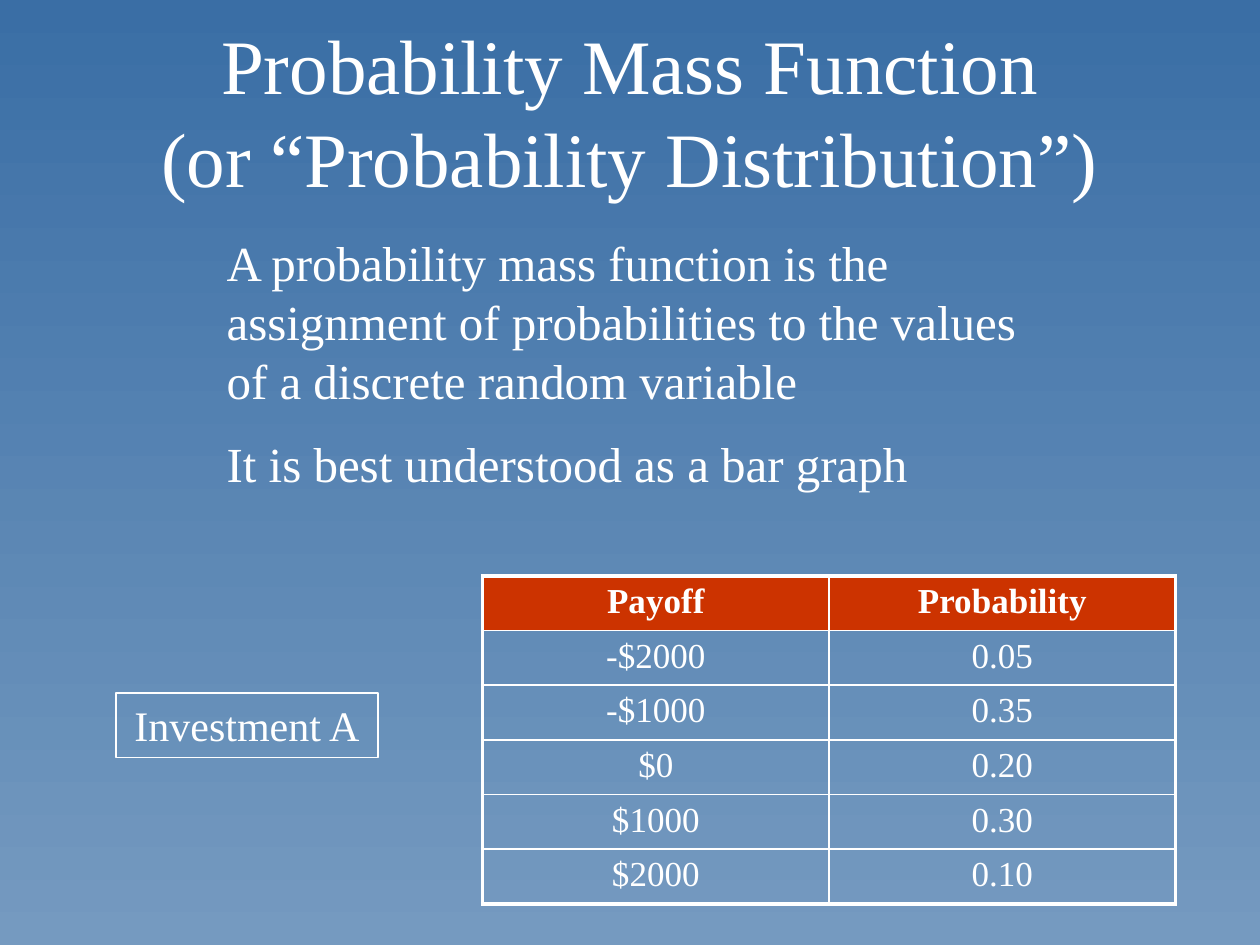
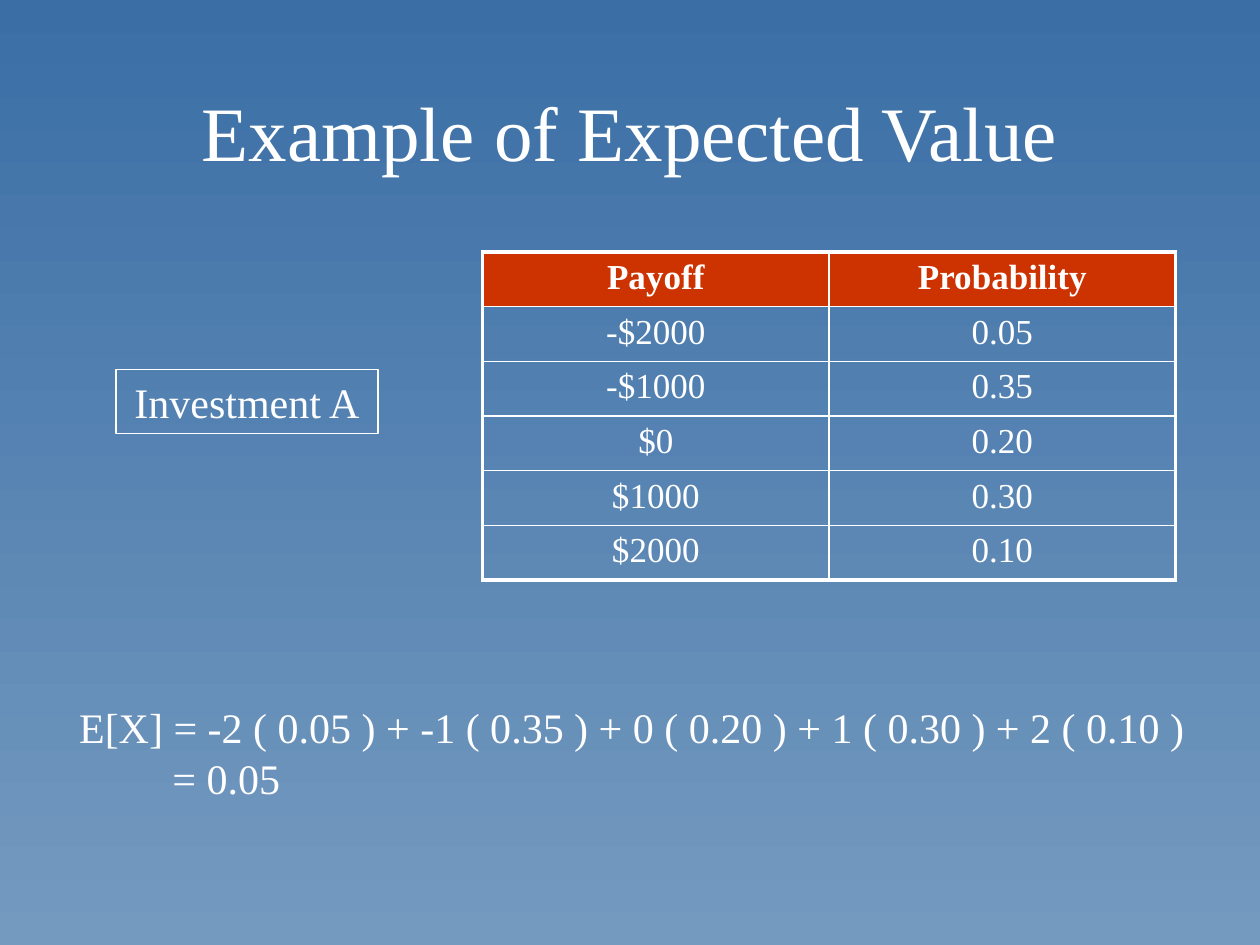
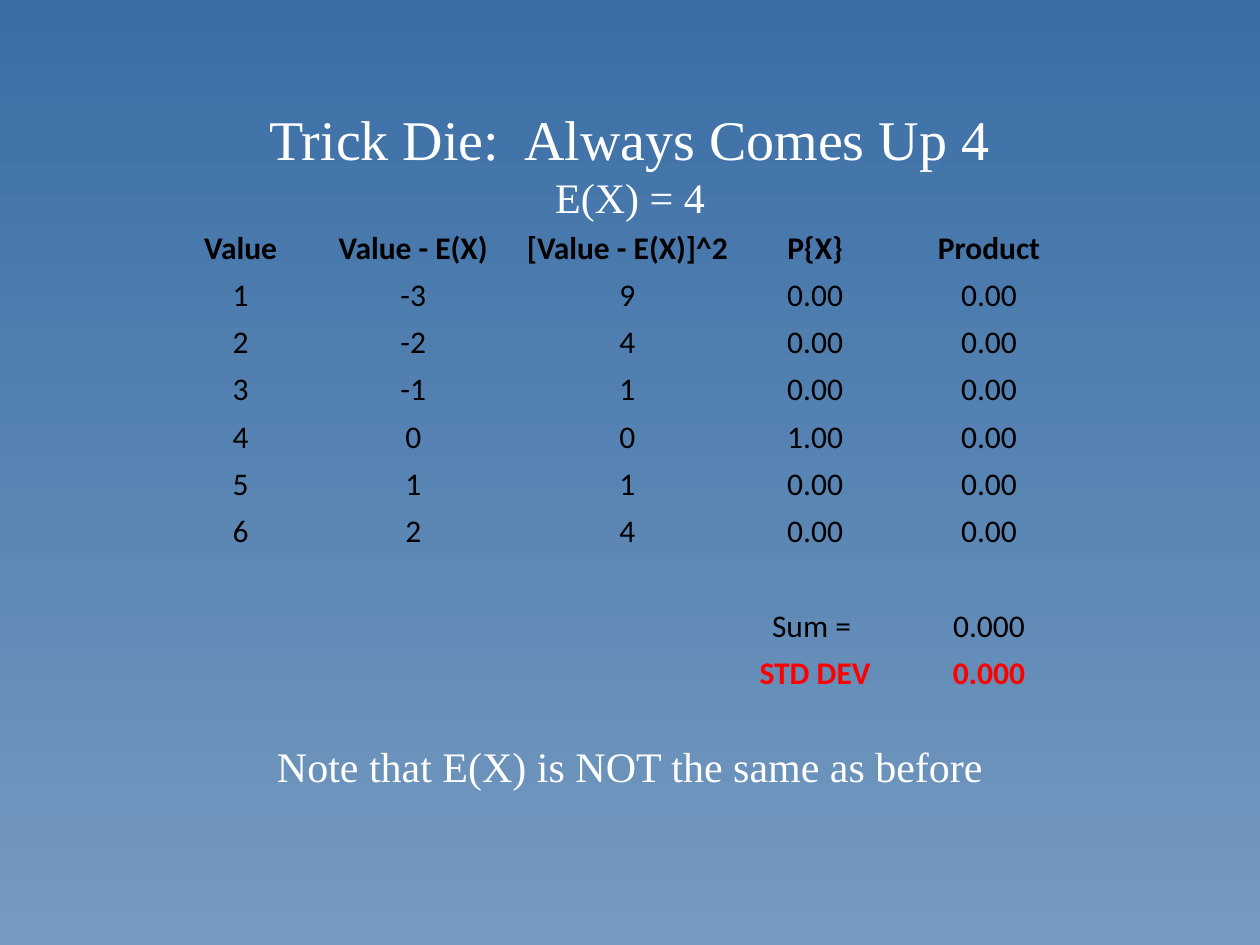
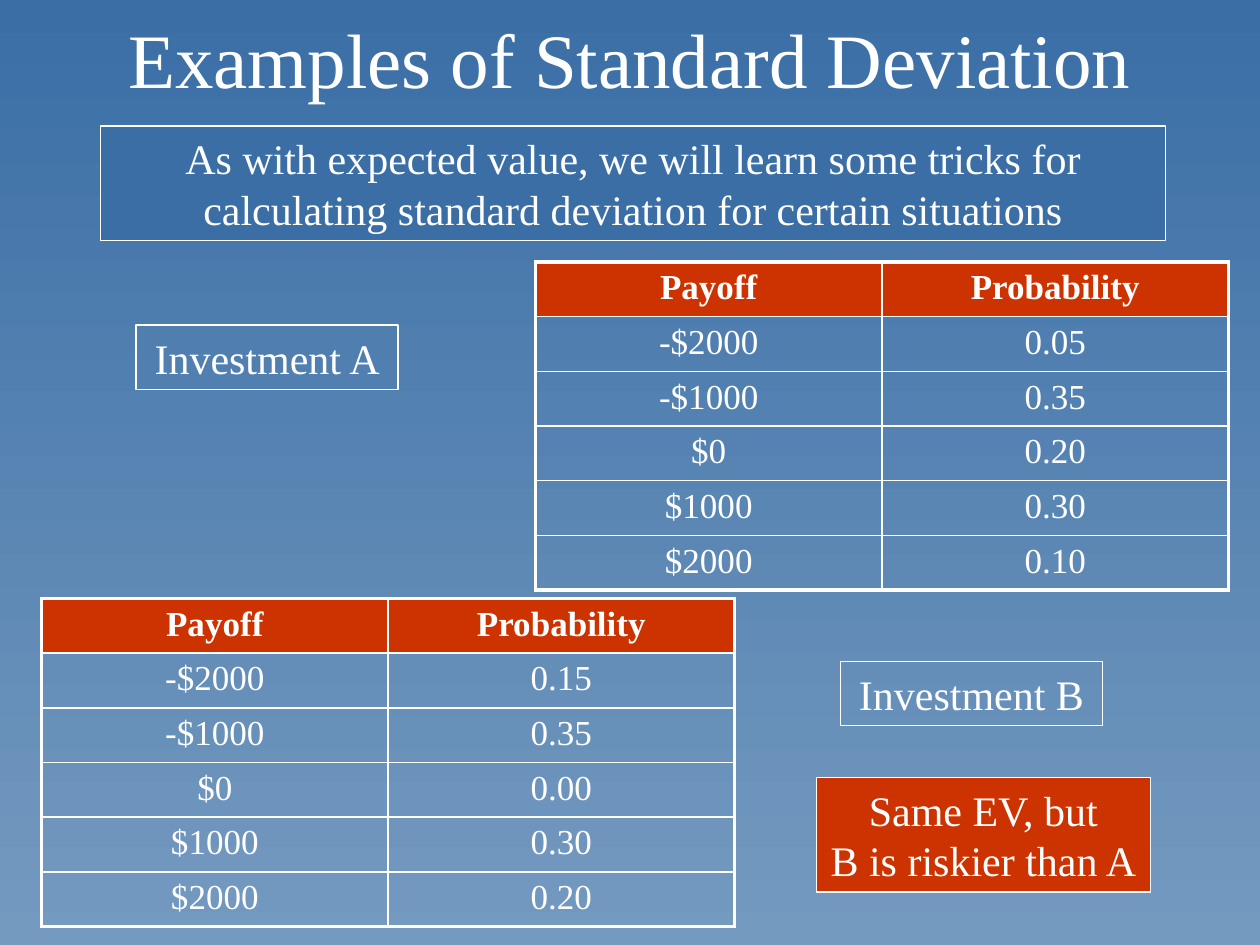
from copy import deepcopy

from lxml.etree import SubElement
from pptx import Presentation
from pptx.dml.color import RGBColor
from pptx.enum.shapes import MSO_SHAPE
from pptx.enum.text import MSO_ANCHOR, MSO_AUTO_SIZE, PP_ALIGN
from pptx.oxml.ns import qn
from pptx.util import Inches, Pt

WHITE = "FFFFFF"
BLACK = "000000"
RED = "FF0000"
BRICK = "CC3300"
DEEP_BLUE = "3A6EA5"
PALE_BLUE = "759AC0"
SERIF = "Times New Roman"
SANS = "Calibri"
PLAIN_TABLE_STYLE = "{2D5ABB26-0587-4C30-8999-92F81FD0307C}"
INNER_BORDER, OUTER_BORDER = 1, 2.25

PAYOFFS = ["-$2000", "-$1000", "$0", "$1000", "$2000"]
INVESTMENT_A = ["0.05", "0.35", "0.20", "0.30", "0.10"]
INVESTMENT_B = ["0.15", "0.35", "0.00", "0.30", "0.20"]


def rgb(value):
    """Turn a hex string into a colour."""
    return RGBColor.from_string(value)


def set_background(presentation):
    """Give the slide master the vertical blue gradient."""
    fill = presentation.slide_master.background.fill
    fill.gradient()
    fill.gradient_angle = 270
    for stop, color in zip(fill.gradient_stops, (DEEP_BLUE, PALE_BLUE)):
        stop.color.rgb = rgb(color)


def add_text(paragraph, text, size, color=WHITE, font=SERIF, bold=False):
    """Add one formatted run and return it."""
    run = paragraph.add_run()
    run.text = text
    run.font.size = Pt(size)
    run.font.name = font
    run.font.bold = bold
    run.font.color.rgb = rgb(color)
    return run


def place(shape, left, top, width, height):
    """Move and size a shape in inches."""
    shape.left, shape.top = Inches(left), Inches(top)
    shape.width, shape.height = Inches(width), Inches(height)


def add_titled_slide(presentation, top, height, lines):
    """Add a slide whose title is a list of (text, size) lines."""
    slide = presentation.slides.add_slide(presentation.slide_layouts[5])
    title = slide.shapes.title
    place(title, 0.75, top, 8.5, height)
    frame = title.text_frame
    frame.auto_size = MSO_AUTO_SIZE.NONE
    frame.word_wrap = True
    frame.vertical_anchor = MSO_ANCHOR.MIDDLE
    paragraph = frame.paragraphs[0]
    paragraph.alignment = PP_ALIGN.CENTER
    previous_run = None
    for text, size in lines:
        if previous_run is not None:
            line_break = paragraph._p.add_br()
            line_break.append(deepcopy(previous_run._r.rPr))
        previous_run = add_text(paragraph, text, size)
    return slide


def fill_frame(frame, lines, size, alignment, wrap=True, gap=0):
    """Write one paragraph per line, with a gap between paragraphs."""
    frame.word_wrap = wrap
    frame.auto_size = MSO_AUTO_SIZE.SHAPE_TO_FIT_TEXT
    for index, line in enumerate(lines):
        paragraph = frame.add_paragraph() if index else frame.paragraphs[0]
        paragraph.alignment = alignment
        if index:
            paragraph.space_before = Pt(gap)
        add_text(paragraph, line, size)


def add_note(slide, bounds, lines, size=24, alignment=PP_ALIGN.LEFT, wrap=True, gap=0):
    """Add a plain text box and return it."""
    box = slide.shapes.add_textbox(*map(Inches, bounds))
    fill_frame(box.text_frame, lines, size, alignment, wrap, gap)
    return box


def add_outlined_box(slide, bounds, lines, fill=None, wrap=True):
    """Add a rectangle with a thin white outline and centred text."""
    box = slide.shapes.add_shape(MSO_SHAPE.RECTANGLE, *map(Inches, bounds))
    box.shadow.inherit = False
    if fill:
        box.fill.solid()
        box.fill.fore_color.rgb = rgb(fill)
    else:
        box.fill.background()
    box.line.color.rgb = rgb(WHITE)
    box.line.width = Pt(0.75)
    fill_frame(box.text_frame, lines, 24, PP_ALIGN.CENTER, wrap)


def add_investment_label(slide, left, top, letter):
    """Add the box that names an investment."""
    add_outlined_box(slide, (left, top, 2.08, 0.51), [f"Investment {letter}"])


def add_tab_stop(paragraph, position):
    """Add a left tab stop at a position in inches."""
    tabs = SubElement(paragraph._p.get_or_add_pPr(), qn("a:tabLst"))
    SubElement(tabs, qn("a:tab"), pos=str(Inches(position)), algn="l")


def add_border(cell, side, width):
    """Draw a white border on one side (L, R, T or B) of a cell."""
    properties = cell._tc.get_or_add_tcPr()
    line = SubElement(properties, qn(f"a:ln{side}"), w=str(Pt(width)))
    color = SubElement(SubElement(line, qn("a:solidFill")), qn("a:srgbClr"))
    color.set("val", WHITE)


def add_plain_table(slide, left, top, column_widths, row_height, row_count):
    """Add a table without a built-in style and return it."""
    frame = slide.shapes.add_table(
        row_count, len(column_widths), Inches(left), Inches(top),
        Inches(sum(column_widths)), Inches(row_height * row_count))
    table = frame.table
    table.horz_banding = False
    table._tbl.tblPr.find(qn("a:tableStyleId")).text = PLAIN_TABLE_STYLE
    for column, width in zip(table.columns, column_widths):
        column.width = Inches(width)
    for row in table.rows:
        row.height = Inches(row_height)
    return table


def write_cell(cell, text, **style):
    """Write centred text into a cell."""
    paragraph = cell.text_frame.paragraphs[0]
    paragraph.alignment = PP_ALIGN.CENTER
    if text:
        add_text(paragraph, text, **style)


def add_payoff_table(slide, left, top, probabilities):
    """Add a bordered table of payoffs and their probabilities."""
    rows = [("Payoff", "Probability"), *zip(PAYOFFS, probabilities)]
    table = add_plain_table(slide, left, top, (2.75, 2.75), 2.6 / len(rows), len(rows))
    last_row = len(rows) - 1
    for row_index, row in enumerate(rows):
        is_header = row_index == 0
        for column_index, text in enumerate(row):
            cell = table.cell(row_index, column_index)
            write_cell(cell, text, size=20, bold=is_header)
            outer_sides = {"L": column_index == 0, "R": column_index == 1,
                           "T": is_header, "B": row_index == last_row}
            for side, is_outer in outer_sides.items():
                add_border(cell, side, OUTER_BORDER if is_outer else INNER_BORDER)
            if is_header:
                cell.fill.solid()
                cell.fill.fore_color.rgb = rgb(BRICK)
            else:
                cell.fill.background()


def add_deviation_table(slide, left, top):
    """Add the borderless worksheet for the standard deviation."""
    rows = [
        ("Value", "Value - E(X)", "[Value - E(X)]^2", "P{X}", "Product"),
        ("1", "-3", "9", "0.00", "0.00"),
        ("2", "-2", "4", "0.00", "0.00"),
        ("3", "-1", "1", "0.00", "0.00"),
        ("4", "0", "0", "1.00", "0.00"),
        ("5", "1", "1", "0.00", "0.00"),
        ("6", "2", "4", "0.00", "0.00"),
        ("", "", "", "", ""),
        ("", "", "", "Sum = ", "0.000"),
        ("", "", "", "STD DEV", "0.000"),
    ]
    widths = (1.16, 1.58, 1.82, 1.16, 1.6)
    table = add_plain_table(slide, left, top, widths, 3.75 / len(rows), len(rows))
    last_row = len(rows) - 1
    for row_index, row in enumerate(rows):
        color = RED if row_index == last_row else BLACK
        for column_index, text in enumerate(row):
            cell = table.cell(row_index, column_index)
            cell.margin_left = cell.margin_right = 0
            cell.margin_top = cell.margin_bottom = 0
            cell.vertical_anchor = MSO_ANCHOR.BOTTOM
            cell.fill.background()
            write_cell(cell, text, size=18, color=color, font=SANS,
                       bold=row_index in (0, last_row))


def build_mass_function_slide(presentation):
    """Build the slide that defines a probability mass function."""
    slide = add_titled_slide(presentation, 0.25, 1.25, [
        ("Probability Mass Function", 44), ("(or “Probability Distribution”)", 44)])
    add_note(slide, (1.7, 1.8, 6.71, 2.2), [
        "A probability mass function is the assignment of probabilities "
        "to the values of a discrete random variable",
        "It is best understood as a bar graph"], size=28, gap=14)
    add_investment_label(slide, 0.92, 5.5, "A")
    add_payoff_table(slide, 3.83, 4.57, INVESTMENT_A)


def build_expected_value_slide(presentation):
    """Build the slide that works out an expected value."""
    slide = add_titled_slide(presentation, 0.58, 0.92, [("Example of Expected Value", 44)])
    add_investment_label(slide, 0.92, 2.93, "A")
    add_payoff_table(slide, 3.83, 2, INVESTMENT_A)
    formula = add_note(slide, (0.53, 5.52, 8.97, 0.9), [
        "E[X] = -2 ( 0.05 ) + -1 ( 0.35 ) + 0 ( 0.20 ) + 1 ( 0.30 ) + 2 ( 0.10 )",
        "\t= 0.05"], wrap=False)
    for paragraph in formula.text_frame.paragraphs:
        add_tab_stop(paragraph, 0.74)


def build_trick_die_slide(presentation):
    """Build the slide about the die that always shows four."""
    slide = add_titled_slide(presentation, 0.67, 1.25, [
        ("Trick Die:  Always Comes Up 4", 32), ("E(X) = 4", 24)])
    add_deviation_table(slide, 1.33, 1.75)
    add_note(slide, (1.5, 5.83, 7, 0.5), ["Note that E(X) is NOT the same as before"],
             alignment=PP_ALIGN.CENTER)


def build_comparison_slide(presentation):
    """Build the slide that compares two investments."""
    slide = add_titled_slide(presentation, 0.08, 0.75, [("Examples of Standard Deviation", 44)])
    add_outlined_box(slide, (0.8, 1, 8.45, 0.91), [
        "As with expected value, we will learn some tricks for "
        "calculating standard deviation for certain situations"], fill=DEEP_BLUE)
    add_investment_label(slide, 1.08, 2.58, "A")
    add_payoff_table(slide, 4.25, 2.08, INVESTMENT_A)
    add_investment_label(slide, 6.67, 5.25, "B")
    add_payoff_table(slide, 0.33, 4.75, INVESTMENT_B)
    add_outlined_box(slide, (6.48, 6.17, 2.65, 0.91),
                     ["Same EV, but", "B is riskier than A"], fill=BRICK, wrap=False)


def main():
    """Build the presentation and save it."""
    presentation = Presentation()
    presentation.slide_width = Inches(10)
    presentation.slide_height = Inches(7.5)
    set_background(presentation)
    build_mass_function_slide(presentation)
    build_expected_value_slide(presentation)
    build_trick_die_slide(presentation)
    build_comparison_slide(presentation)
    presentation.save("out.pptx")


if __name__ == "__main__":
    main()
